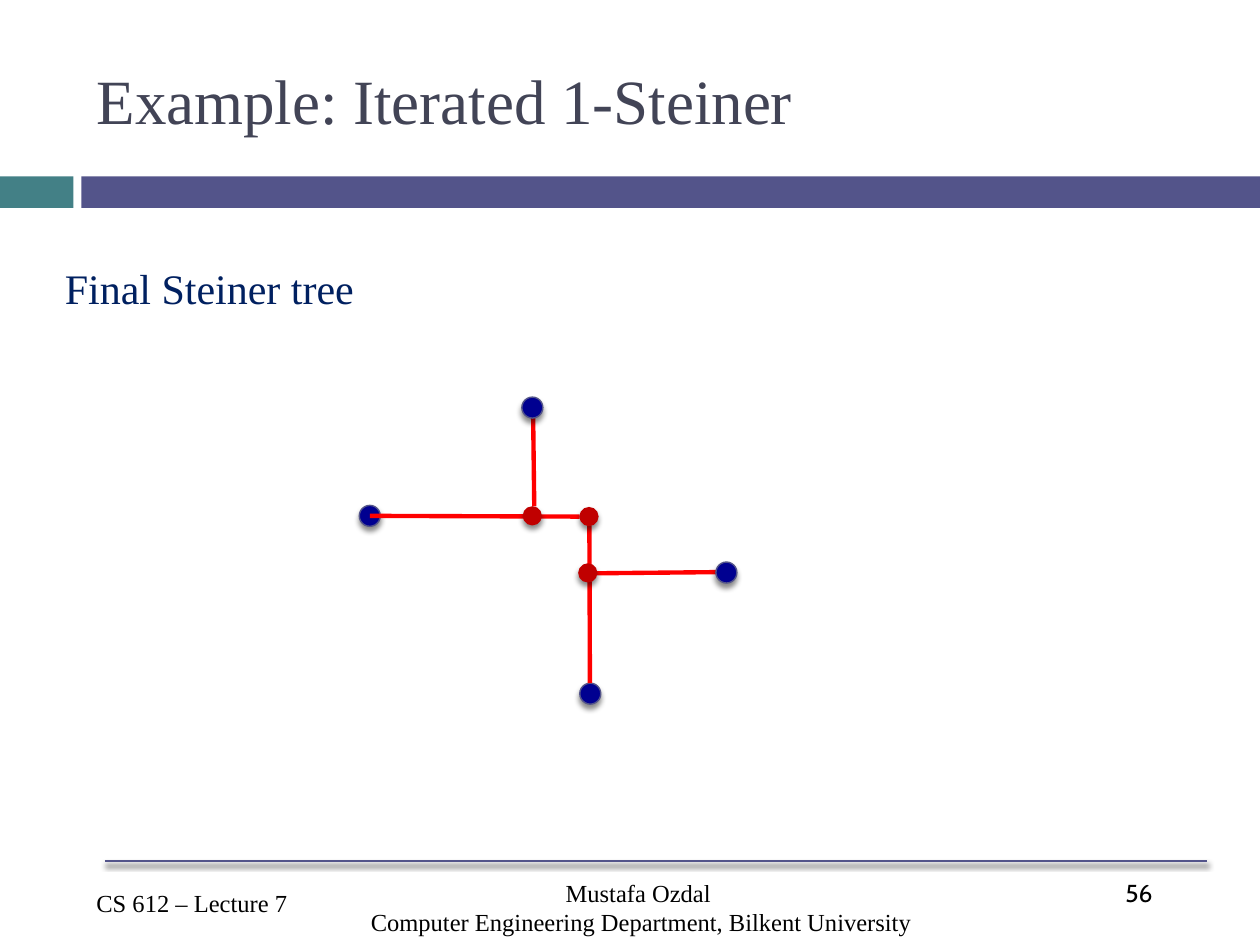
from dataclasses import dataclass

from lxml import etree
from pptx import Presentation
from pptx.dml.color import RGBColor
from pptx.enum.shapes import MSO_CONNECTOR, MSO_SHAPE
from pptx.enum.text import MSO_ANCHOR, PP_ALIGN
from pptx.oxml.ns import qn
from pptx.util import Pt

RECT, OVAL = MSO_SHAPE.RECTANGLE, MSO_SHAPE.OVAL
STRAIGHT = MSO_CONNECTOR.STRAIGHT
LEFT, CENTER = PP_ALIGN.LEFT, PP_ALIGN.CENTER
TOP, MIDDLE = MSO_ANCHOR.TOP, MSO_ANCHOR.MIDDLE
TITLE_ONLY = 5


@dataclass(frozen=True)
class Theme:
    serif: str = "Times New Roman"
    sans: str = "Cabin"
    title_size: float = 36
    label_size: float = 24
    footer_size: float = 14
    title: str = "424456"
    label: str = "002060"
    footer: str = "000000"
    teal: str = "438086"
    purple: str = "53548A"
    terminal: str = "000090"
    steiner: str = "C00000"
    wire: str = "FF0000"


THEME = Theme()

# Dot centres, in points
WEST, NORTH = (211.3, 294.8), (304.2, 232.9)
EAST, SOUTH = (415.1, 327.2), (337.3, 396.4)
STEINER_POINTS = [(336.6, 295.2), (335.9, 327.4), (304.2, 294.8)]
WIRES = [
    ((211.3, 294.8), (331.2, 295.2)),
    ((304.6, 232.6), (305.3, 289.4)),
    ((336.8, 300.2), (337.1, 390.4)),
    ((339.8, 327.6), (412.6, 326.9)),
]


def rgb(color):
    return RGBColor.from_string(color)


def set_effects(sp, shadow=False):
    """Replace inherited effects by none, or by a soft shadow straight below."""
    effects = etree.SubElement(sp._element.spPr, qn("a:effectLst"))
    if shadow:
        outer = etree.SubElement(
            effects, qn("a:outerShdw"), blurRad=str(Pt(3)), dist=str(Pt(2.4)),
            dir="5400000", algn="ctr", rotWithShape="0")
        black = etree.SubElement(outer, qn("a:srgbClr"), val="000000")
        etree.SubElement(black, qn("a:alpha"), val="45000")


def write_text(tf, text, size, color, font=THEME.serif, align=LEFT, anchor=TOP):
    tf.text = text
    tf.vertical_anchor = anchor
    for p in tf.paragraphs:
        p.alignment = align
        for r in p.runs:
            r.font.name = font
            r.font.size = Pt(size)
            r.font.color.rgb = rgb(color)


def add_text(slide, box, text, size, color, wrap=True, **style):
    tf = slide.shapes.add_textbox(*map(Pt, box)).text_frame
    tf.word_wrap = wrap
    write_text(tf, text, size, color, **style)


def add_footer(slide, box, text, **style):
    add_text(slide, box, text, THEME.footer_size, THEME.footer, **style)


def add_title(slide, text):
    sp = slide.shapes.title
    sp.left, sp.top, sp.width, sp.height = map(Pt, (48, 18, 642, 78))
    write_text(sp.text_frame, text, THEME.title_size, THEME.title, anchor=MIDDLE)


def add_shape(slide, kind, box, fill, outline=None, shadow=False):
    sp = slide.shapes.add_shape(kind, *map(Pt, box))
    sp.fill.solid()
    sp.fill.fore_color.rgb = rgb(fill)
    if outline:
        sp.line.color.rgb = rgb(outline)
        sp.line.width = Pt(0.79)
    else:
        sp.line.fill.background()
    set_effects(sp, shadow)


def add_dot(slide, center, diameter, fill, outline=None):
    x, y = center
    box = (x - diameter / 2, y - diameter / 2, diameter, diameter)
    add_shape(slide, OVAL, box, fill, outline, shadow=True)


def add_terminal(slide, center):
    add_dot(slide, center, 12, THEME.terminal, THEME.purple)


def add_line(slide, start, end, color, width, shadow=False):
    line = slide.shapes.add_connector(STRAIGHT, *map(Pt, start + end))
    line.line.color.rgb = rgb(color)
    line.line.width = Pt(width)
    set_effects(line, shadow)


def add_frame(slide):
    """Header band, footer rule and footer texts."""
    add_shape(slide, RECT, (0, 100.8, 42, 18), THEME.teal)
    add_shape(slide, RECT, (46.5, 100.8, 673.5, 18), THEME.purple)
    add_line(slide, (60, 492), (690, 492), THEME.purple, 1.5, shadow=True)
    add_footer(slide, (636, 498, 54, 36), "56", font=THEME.sans)
    add_footer(slide, (48, 504, 132, 24), "CS 612 – Lecture 7")
    add_footer(slide, (120, 498, 493, 42),
               "Mustafa Ozdal \nComputer Engineering Department, Bilkent University",
               align=CENTER)


def add_steiner_tree(slide):
    for center in (WEST, SOUTH):
        add_terminal(slide, center)
    for start, end in WIRES:
        add_line(slide, start, end, THEME.wire, 2.5)
    for center in (EAST, NORTH):
        add_terminal(slide, center)
    for center in STEINER_POINTS:
        add_dot(slide, center, 11, THEME.steiner)


def main():
    prs = Presentation()
    prs.slide_width, prs.slide_height = Pt(720), Pt(540)
    slide = prs.slides.add_slide(prs.slide_layouts[TITLE_ONLY])
    add_frame(slide)
    add_title(slide, "Example: Iterated 1-Steiner")
    add_text(slide, (30, 146.2, 188, 36), "Final Steiner tree",
             THEME.label_size, THEME.label, wrap=False)
    add_steiner_tree(slide)
    prs.save("out.pptx")


if __name__ == "__main__":
    main()
